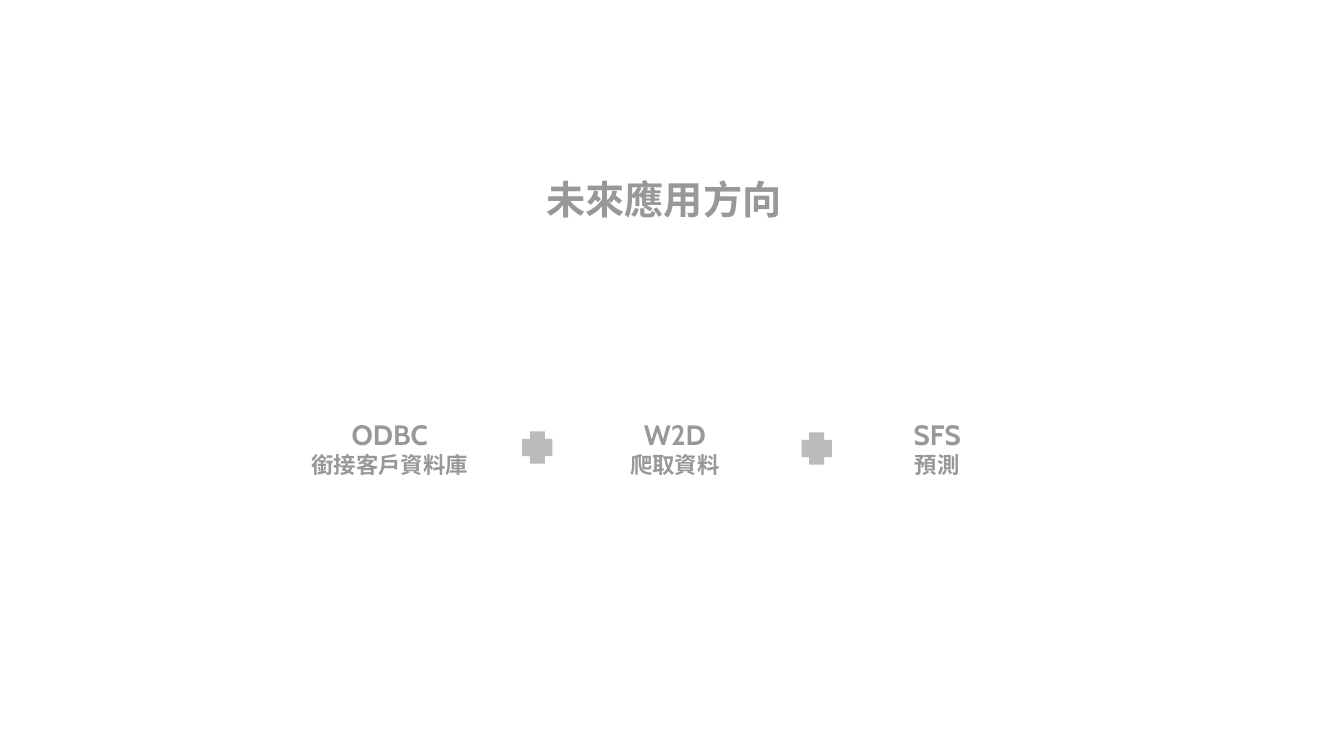
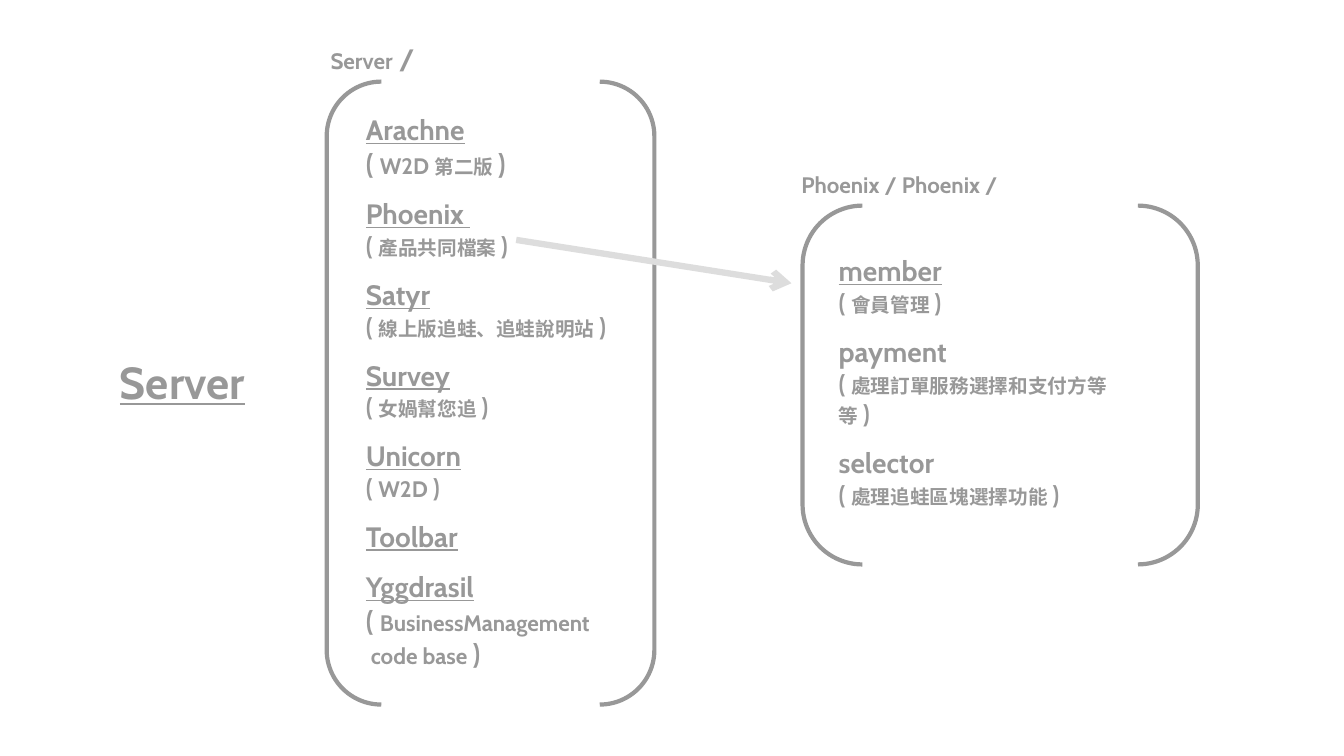
from lxml.etree import SubElement
from pptx import Presentation
from pptx.dml.color import RGBColor
from pptx.enum.shapes import MSO_CONNECTOR, MSO_SHAPE
from pptx.enum.text import MSO_ANCHOR, MSO_AUTO_SIZE, PP_ALIGN
from pptx.oxml.ns import qn
from pptx.util import Inches, Pt

COLORS = {"text": "989898", "plus": "BBBBBB", "arrow": "DDDDDD", "card": "FFFFFF"}
FONT = "Cabin"

# left, width, name, purpose
CARDS = [
    (2.7, 2.33, "ODBC", "銜接客戶資料庫"),
    (5.68, 2.03, "W2D", "爬取資料"),
    (8.5, 1.59, "SFS", "預測"),
]
PLUSES = [(5.18, 4.28), (7.95, 4.29)]

# name, underlined, size of the round brackets, lines of (text, size) inside them
SERVER = [
    ("Arachne", True, 20, [[("W2D ", 16), ("第二版 ", 14)]]),
    ("Phoenix ", True, 18, [[("產品共同檔案 ", 14)]]),
    ("Satyr", True, 18, [[("線上版追蛙、追蛙說明站 ", 14)]]),
    ("Survey", True, 18, [[("女媧幫您追 ", 14)]]),
    ("Unicorn", True, 18, [[("W2D ", 16)]]),
    ("Toolbar", True, 20, []),
    ("Yggdrasil", True, 20, [[("BusinessManagement ", 16)], [(" code base ", 16)]]),
]
PHOENIX = [
    ("member", True, 18, [[("會員管理 ", 14)]]),
    ("payment ", False, 18, [[("處理訂單服務選擇和支付方等等 ", 14)]]),
    ("selector", False, 18, [[("處理追蛙區塊選擇功能 ", 14)]]),
]

# Boxes are left, top, width, height
FOLDERS = [
    {"label": [("Server", 16), (" /", 20)], "label_box": (3.18, 0.26, 1.55, 0.64),
     "items": SERVER, "list_box": (3.53, 1.11, 2.65, 5.55),
     "bracket": (3.24, 0.81, 3.25, 6.18)},
    {"label": [("Phoenix / Phoenix /", 16)], "label_box": (7.85, 1.63, 3.25, 0.41),
     "items": PHOENIX, "list_box": (8.22, 2.33, 3.14, 2.91),
     "bracket": (7.96, 2.04, 3.92, 3.56)},
]
ARROW = (5.12, 2.38, 7.85, 2.81)


def rgb(name):
    return RGBColor.from_string(COLORS[name])


def inches(values):
    return [Inches(value) for value in values]


def set_frame(frame):
    frame.word_wrap = True
    frame.auto_size = MSO_AUTO_SIZE.NONE
    frame.vertical_anchor = MSO_ANCHOR.MIDDLE


def style(para, align=PP_ALIGN.LEFT):
    para.alignment = align
    para.font.name = FONT
    para.font.bold = True
    para.font.color.rgb = rgb("text")


def add_run(para, text, size, under=False):
    run = para.add_run()
    run.text = text
    run.font.size = Pt(size)
    if under:
        run.font.underline = True


def next_para(frame, index):
    return frame.add_paragraph() if index else frame.paragraphs[0]


def add_slide(deck, title, box, size, under=False):
    slide = deck.slides.add_slide(deck.slide_layouts[5])
    shape = slide.shapes.title
    shape.left, shape.top, shape.width, shape.height = inches(box)
    set_frame(shape.text_frame)
    para = shape.text_frame.paragraphs[0]
    style(para)
    add_run(para, title, size, under)
    return slide


def add_shape(slide, kind, box, fill=None):
    shape = slide.shapes.add_shape(kind, *inches(box))
    shape.shadow.inherit = False
    if fill:
        shape.fill.solid()
        shape.fill.fore_color.rgb = rgb(fill)
        shape.line.fill.background()
    else:
        shape.fill.background()
        shape.line.color.rgb = rgb("text")
        shape.line.width = Pt(3)
    return shape


def add_text(slide, box):
    frame = slide.shapes.add_textbox(*inches(box)).text_frame
    set_frame(frame)
    return frame


def add_card(slide, left, width, name, purpose):
    card = add_shape(slide, MSO_SHAPE.RECTANGLE, (left, 3.89, width, 1.11), "card")
    set_frame(card.text_frame)
    for index, (text, size) in enumerate([(name, 20), (purpose, 16)]):
        para = next_para(card.text_frame, index)
        style(para, PP_ALIGN.CENTER)
        add_run(para, text, size)


def add_list(slide, box, items):
    frame = add_text(slide, box)
    for index, (name, under, size, lines) in enumerate(items):
        para = next_para(frame, index)
        style(para)
        if index:
            para.space_before = Pt(12)
        add_run(para, name, 20, under)
        for number, line in enumerate(lines):
            para.add_line_break()
            if number == 0:
                add_run(para, "( ", size)
            for text, points in line:
                add_run(para, text, points)
        if lines:
            add_run(para, ")", size)


def add_folder(slide, folder):
    label = add_text(slide, folder["label_box"]).paragraphs[0]
    style(label)
    for text, size in folder["label"]:
        add_run(label, text, size)
    add_list(slide, folder["list_box"], folder["items"])
    add_shape(slide, MSO_SHAPE.DOUBLE_BRACKET, folder["bracket"])


def add_arrow(slide, ends):
    arrow = slide.shapes.add_connector(MSO_CONNECTOR.STRAIGHT, *inches(ends))
    arrow.line.color.rgb = rgb("arrow")
    arrow.line.width = Pt(4.5)
    SubElement(arrow.line._get_or_add_ln(), qn("a:tailEnd"), type="arrow")
    SubElement(arrow._element.spPr, qn("a:effectLst"))


def main():
    deck = Presentation()
    deck.slide_width, deck.slide_height = Inches(13.33), Inches(7.5)

    future = add_slide(deck, "未來應用方向", (5.32, 0.99, 2.62, 1.97), 28)
    for card in CARDS:
        add_card(future, *card)
    for left, top in PLUSES:
        add_shape(future, MSO_SHAPE.CROSS, (left, top, 0.3, 0.32), "plus")

    server = add_slide(deck, "Server", (1.09, 2.8, 2.67, 1.97), 32, under=True)
    for folder in FOLDERS:
        add_folder(server, folder)
    add_arrow(server, ARROW)

    deck.save("out.pptx")


if __name__ == "__main__":
    main()
